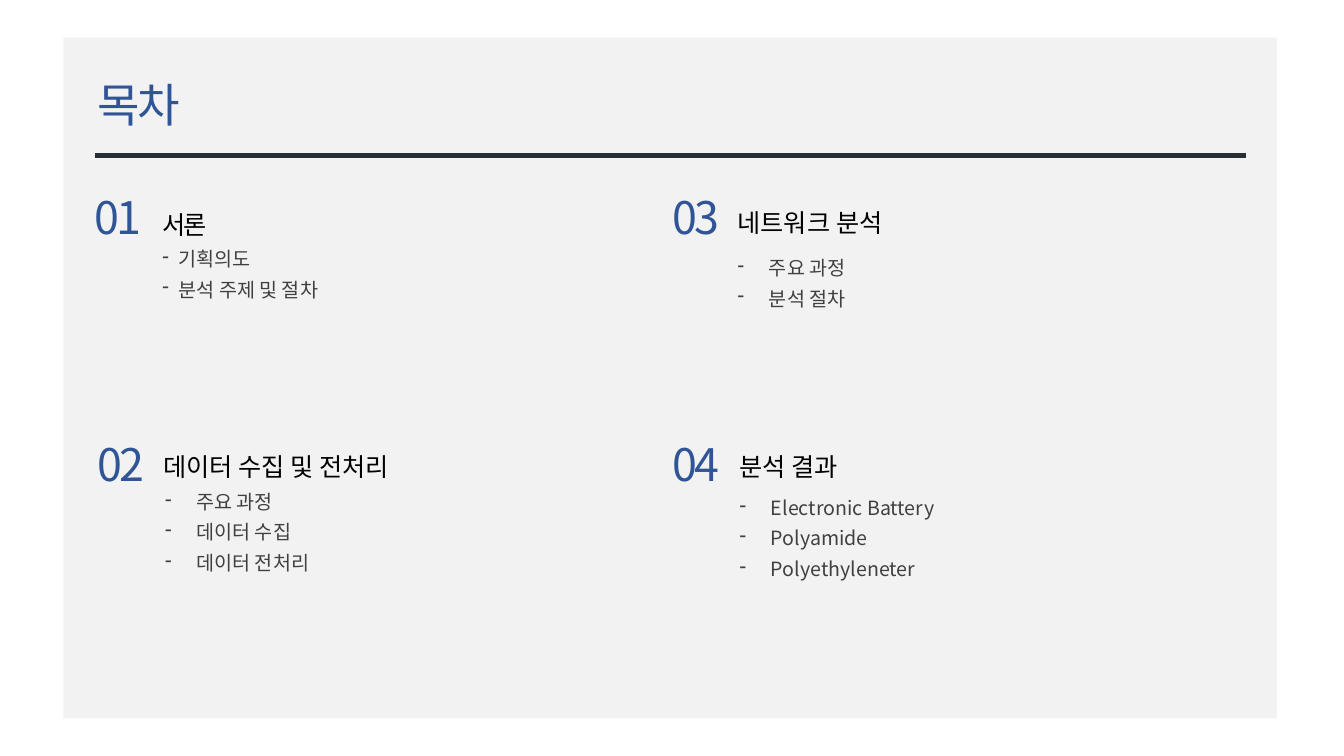
from lxml.etree import SubElement
from pptx import Presentation
from pptx.dml.color import RGBColor
from pptx.enum.shapes import MSO_CONNECTOR, MSO_SHAPE
from pptx.enum.text import MSO_ANCHOR, MSO_AUTO_SIZE, PP_ALIGN
from pptx.oxml.ns import qn
from pptx.util import Cm, Pt

FONT = "Noto Sans CJK KR"
BLUE, BLACK, GREY = "2F5597", "000000", "404040"


def rgb(value):
    return RGBColor.from_string(value)


def write(sp, *lines, size, color, spacing=0, line_spacing=1.0, indent=None):
    """Fill a shape with one paragraph per line; indent (cm) adds dash bullets."""
    tf = sp.text_frame
    tf.word_wrap = True
    tf.auto_size = MSO_AUTO_SIZE.SHAPE_TO_FIT_TEXT
    tf.vertical_anchor = MSO_ANCHOR.TOP
    for i, line in enumerate(lines):
        p = tf.add_paragraph() if i else tf.paragraphs[0]
        p.alignment = PP_ALIGN.LEFT
        p.line_spacing = line_spacing
        if indent:
            pPr = p._p.get_or_add_pPr()
            pPr.set("marL", str(Cm(indent)))
            pPr.set("indent", str(-Cm(indent)))
            SubElement(pPr, qn("a:buChar"), char="-")
        r = p.add_run()
        r.text = line
        r.font.size = Pt(size)
        r.font.color.rgb = rgb(color)
        r.font.name = FONT
        rPr = r._r.get_or_add_rPr()
        rPr.set("spc", str(int(spacing * 100)))
        SubElement(rPr, qn("a:ea"), typeface=FONT)


prs = Presentation()
prs.slide_width, prs.slide_height = Cm(33.87), Cm(19.05)
s = prs.slides.add_slide(prs.slide_layouts[5])

title = s.shapes.title
title.left, title.top, title.width, title.height = Cm(2.21), Cm(1.8), Cm(10.39), Cm(1.68)
write(title, "목차", size=33, color=BLUE, spacing=-2)

panel = s.shapes.add_shape(MSO_SHAPE.RECTANGLE, Cm(1.6), Cm(0.95), Cm(30.58), Cm(17.15))
panel.fill.solid()
panel.fill.fore_color.rgb = rgb("F2F2F2")
panel.line.fill.background()
panel.shadow.inherit = False
title.element.addprevious(panel.element)  # panel goes behind the title

rule = s.shapes.add_connector(MSO_CONNECTOR.STRAIGHT, Cm(2.4), Cm(3.92), Cm(31.4), Cm(3.92))
rule.line.color.rgb = rgb("282F34")
rule.line.width = Pt(3)
SubElement(rule.element.spPr, qn("a:effectLst"))

# number, its position, heading, its position and spacing, items, their position and indent
sections = [
    ("01", (2.13, 4.65), "서론", (3.84, 4.93), -1.5,
     ["기획의도", "분석 주제 및 절차"], (3.84, 5.92), 0.41),
    ("02", (2.21, 10.87), "데이터 수집 및 전처리", (3.86, 11.02), 0,
     ["주요 과정", "데이터 수집", "데이터 전처리"], (3.91, 12.04), 0.79),
    ("03", (16.69, 4.65), "네트워크 분석", (18.34, 4.88), 0,
     ["주요 과정", "분석 절차"], (18.34, 6.15), 0.79),
    ("04", (16.69, 10.87), "분석 결과", (18.39, 11.02), 0,
     ["Electronic Battery", "Polyamide", "Polyethyleneter"], (18.39, 12.19), 0.79),
]
for number, number_at, heading, heading_at, spacing, items, items_at, indent in sections:
    sp = s.shapes.add_textbox(*map(Cm, number_at), Cm(2.26), Cm(1.63))
    write(sp, number, size=32, color=BLUE, spacing=-2)
    sp = s.shapes.add_textbox(*map(Cm, heading_at), Cm(10), Cm(1.19))
    write(sp, heading, size=18, color=BLACK, spacing=spacing, line_spacing=1.3)
    sp = s.shapes.add_textbox(*map(Cm, items_at), Cm(6.07), Cm(0.17 + 0.79 * len(items)))
    write(sp, *items, size=14, color=GREY, line_spacing=1.3, indent=indent)

prs.save("out.pptx")
